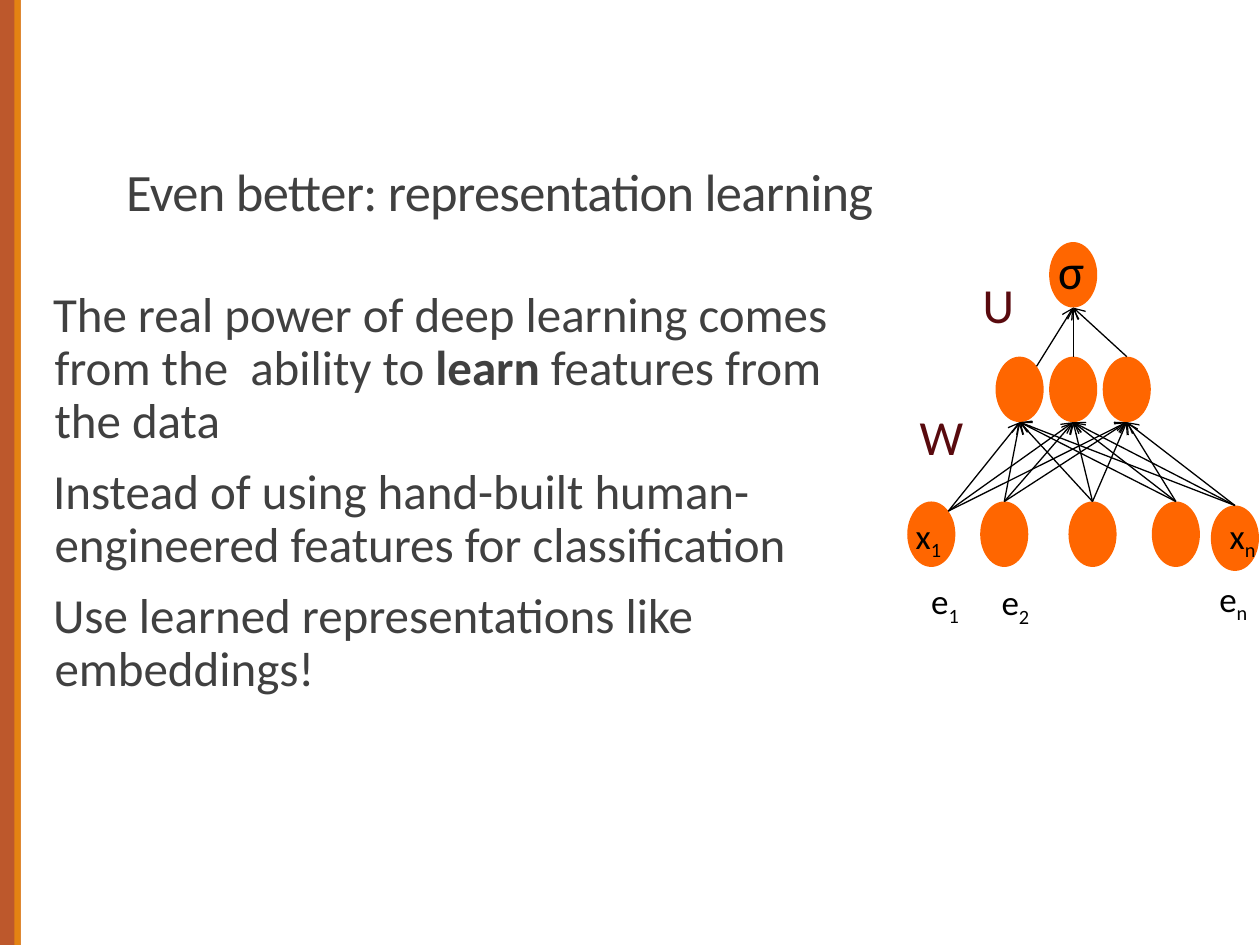
from dataclasses import dataclass
from itertools import product
from math import sqrt

from lxml import etree
from pptx import Presentation
from pptx.dml.color import RGBColor
from pptx.enum.shapes import MSO_CONNECTOR, MSO_SHAPE
from pptx.enum.text import MSO_ANCHOR, PP_ALIGN
from pptx.oxml.ns import qn
from pptx.util import Cm, Pt

RECTANGLE = MSO_SHAPE.RECTANGLE
ELLIPSE = MSO_SHAPE.OVAL
STRAIGHT = MSO_CONNECTOR.STRAIGHT
LEFT = PP_ALIGN.LEFT
BOTTOM = MSO_ANCHOR.BOTTOM
TOP = MSO_ANCHOR.TOP

RUST = RGBColor(0xBD, 0x58, 0x2C)
AMBER = RGBColor(0xE4, 0x83, 0x12)
ORANGE = RGBColor(0xFF, 0x66, 0x00)
GRAY = RGBColor(0x40, 0x40, 0x40)
MAROON = RGBColor(0x59, 0x0A, 0x0E)
BLACK = RGBColor(0x00, 0x00, 0x00)

FONT = "Calibri"
SLIDE_HEIGHT = 19.05
NODE_WIDTH = 0.97
NODE_HEIGHT = 1.32


@dataclass(frozen=True)
class Node:
    left: float
    top: float
    leaves_at_corner: bool = False

    @property
    def entry(self) -> tuple[float, float]:
        return self.left + NODE_WIDTH / 2, self.top + NODE_HEIGHT

    @property
    def exit(self) -> tuple[float, float]:
        center = self.left + NODE_WIDTH / 2
        if not self.leaves_at_corner:
            return center, self.top
        middle = self.top + NODE_HEIGHT / 2
        return center + NODE_WIDTH / 2 / sqrt(2), middle - NODE_HEIGHT / 2 / sqrt(2)


@dataclass(frozen=True)
class Label:
    text: str
    left: float
    top: float
    width: float
    height: float = 1.12
    subscript: str = ""
    size: int = 20
    color: RGBColor = BLACK
    wrap: bool = False


OUTPUT = Node(21.15, 4.88)
HIDDEN = [Node(20.07 + 1.08 * index, 7.19, index == 0) for index in range(3)]
INPUTS = [
    Node(18.29, 10.11, True),
    Node(19.76, 10.11),
    Node(21.54, 10.11),
    Node(23.22, 10.11),
    Node(24.41, 10.19),
]

LABELS = [
    Label("U", 19.56, 5.41, 0.58, 1.45, size=28, color=MAROON, wrap=True),
    Label("W", 18.29, 8.08, 0.58, 1.45, size=28, color=MAROON, wrap=True),
    Label("x", 24.54, 10.24, 1.07, subscript="n"),
    Label("x", 18.21, 10.24, 1.65, subscript="1", wrap=True),
    Label("e", 18.52, 11.56, 1.12, subscript="1"),
    Label("e", 19.94, 11.58, 1.12, subscript="2"),
    Label("e", 24.33, 11.51, 1.12, subscript="n"),
    Label("σ", 21.08, 4.72, 1.04, 1.45, size=28),
]

BODY = [
    [
        ("The real power of deep learning comes from the  ability to ", False),
        ("learn", True),
        (" features from the data", False),
    ],
    [("Instead of using hand-built human-engineered features for classification", False)],
    [("Use learned representations like embeddings!", False)],
]


def add_run(paragraph, text: str, size: int, color: RGBColor, bold: bool = False):
    run = paragraph.add_run()
    run.text = text
    run.font.name = FONT
    run.font.size = Pt(size)
    run.font.bold = bold
    run.font.color.rgb = color
    return run


def add_filled(slide, kind, left: float, top: float, width: float, height: float,
               color: RGBColor) -> None:
    shape = slide.shapes.add_shape(kind, Cm(left), Cm(top), Cm(width), Cm(height))
    shape.shadow.inherit = False
    shape.fill.solid()
    shape.fill.fore_color.rgb = color
    shape.line.fill.background()


def add_arrow(slide, source: Node, target: Node) -> None:
    points = [Cm(value) for value in (*source.exit, *target.entry)]
    connector = slide.shapes.add_connector(STRAIGHT, *points)
    connector.line.color.rgb = BLACK
    connector.line.width = Pt(0.75)
    etree.SubElement(connector.line._get_or_add_ln(), qn("a:tailEnd"), type="arrow")
    etree.SubElement(connector._element.spPr, qn("a:effectLst"))


def add_label(slide, label: Label) -> None:
    box = slide.shapes.add_textbox(
        Cm(label.left), Cm(label.top), Cm(label.width), Cm(label.height))
    box.text_frame.word_wrap = label.wrap
    paragraph = box.text_frame.paragraphs[0]
    add_run(paragraph, label.text, label.size, label.color)
    if label.subscript:
        run = add_run(paragraph, label.subscript, label.size, label.color)
        run._r.get_or_add_rPr().set("baseline", "-25000")


def add_title(slide) -> None:
    title = slide.shapes.title
    title.left, title.top, title.width, title.height = Cm(2.29), Cm(2.72), Cm(23.11), Cm(1.88)
    title.text_frame.vertical_anchor = BOTTOM
    paragraph = title.text_frame.paragraphs[0]
    paragraph.alignment = LEFT
    paragraph.line_spacing = 0.85
    run = add_run(paragraph, "Even better: representation learning", 30, GRAY)
    run._r.get_or_add_rPr().set("spc", "-40")


def add_body(slide) -> None:
    box = slide.shapes.add_textbox(Cm(1.07), Cm(5.72), Cm(16.99), Cm(9.53))
    frame = box.text_frame
    frame.word_wrap = True
    frame.vertical_anchor = TOP
    frame.margin_left = frame.margin_right = 0
    for index, runs in enumerate(BODY):
        paragraph = frame.add_paragraph() if index else frame.paragraphs[0]
        properties = paragraph._p.get_or_add_pPr()
        properties.set("marL", str(Cm(0.03)))
        properties.set("indent", str(Cm(-0.03)))
        paragraph.line_spacing = 0.9
        paragraph.space_before = Pt(9 if index else 0)
        paragraph.space_after = Pt(1.5)
        for text, bold in runs:
            add_run(paragraph, text, 28, GRAY, bold)


def main() -> None:
    presentation = Presentation()
    presentation.slide_width = Cm(25.4)
    presentation.slide_height = Cm(SLIDE_HEIGHT)
    slide = presentation.slides.add_slide(presentation.slide_layouts[5])

    add_filled(slide, RECTANGLE, 0, 0, 0.42, SLIDE_HEIGHT, RUST)
    add_filled(slide, RECTANGLE, 0.29, 0, 0.13, SLIDE_HEIGHT, AMBER)
    add_title(slide)
    add_body(slide)
    for node in [OUTPUT, *HIDDEN, *INPUTS]:
        add_filled(slide, ELLIPSE, node.left, node.top, NODE_WIDTH, NODE_HEIGHT, ORANGE)
    for source, target in [*product(HIDDEN, [OUTPUT]), *product(INPUTS, HIDDEN)]:
        add_arrow(slide, source, target)
    for label in LABELS:
        add_label(slide, label)

    presentation.save("out.pptx")


if __name__ == "__main__":
    main()
